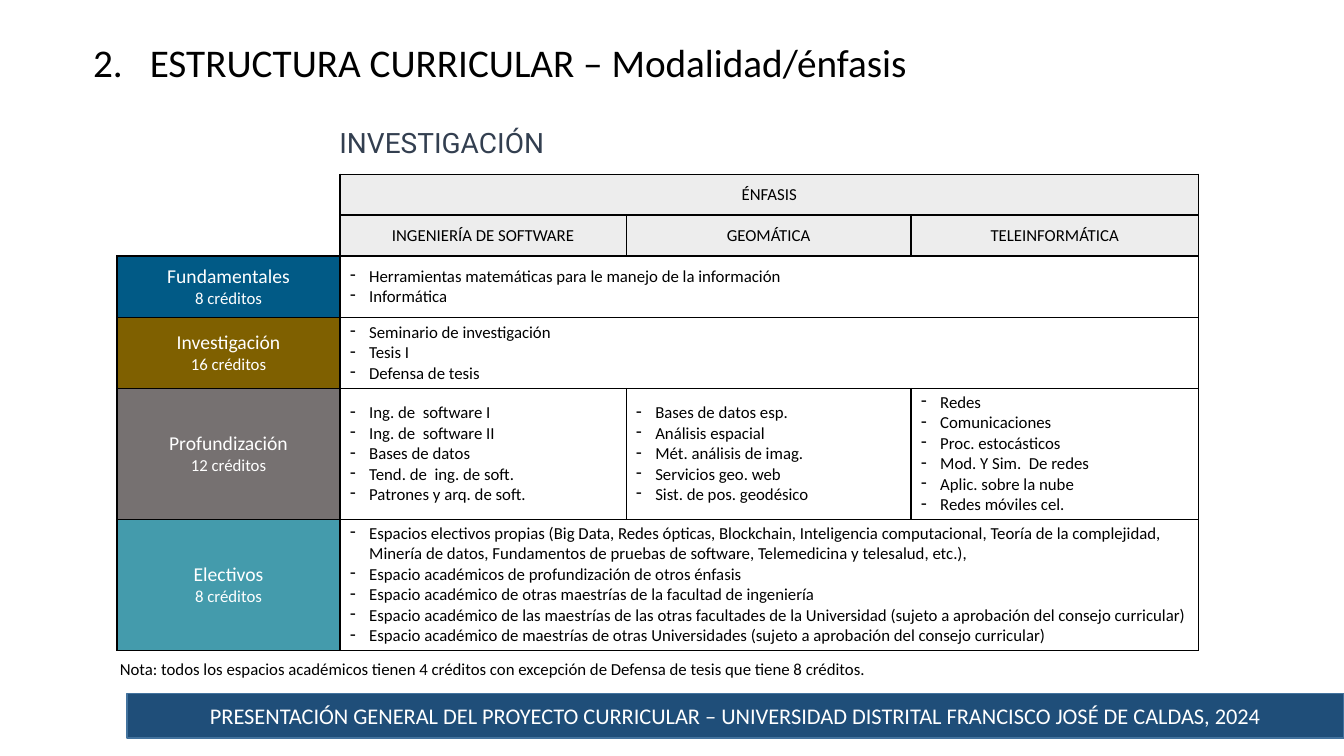
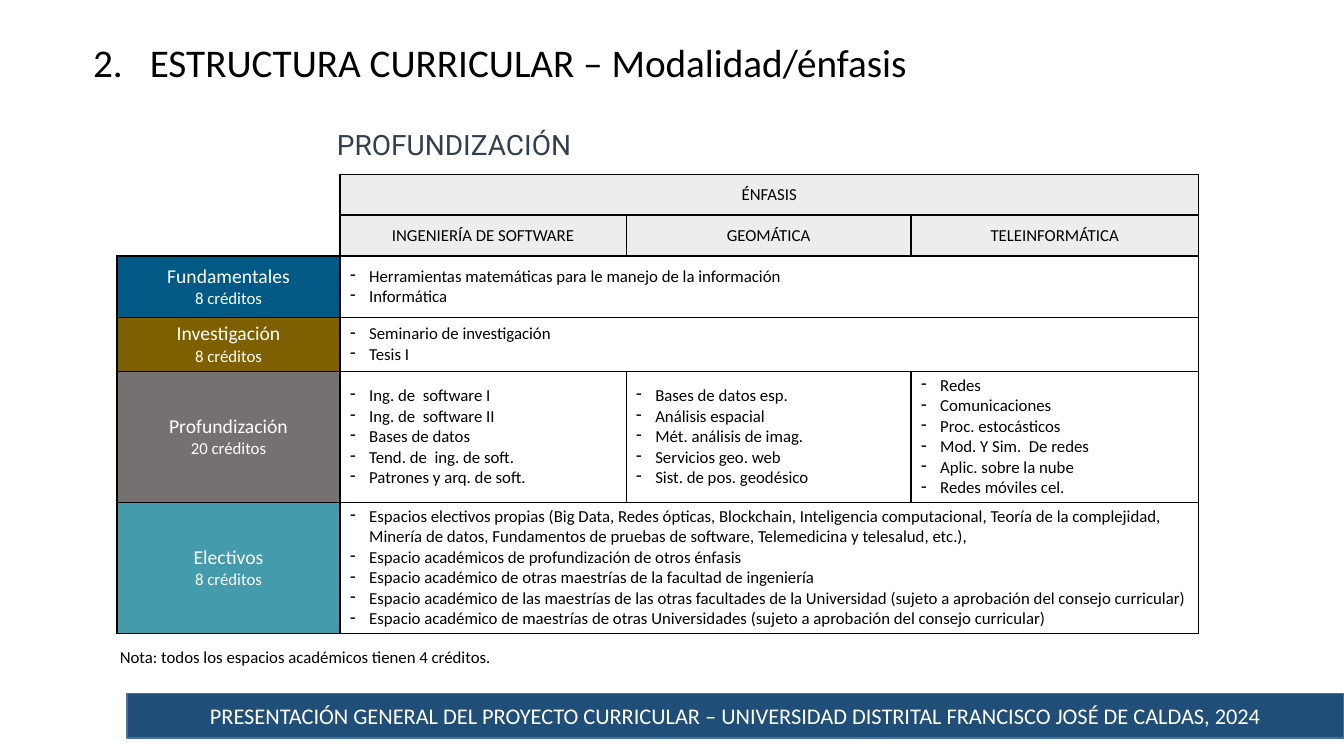
"""Build two slides on the curricular structure of each study mode."""
from lxml import etree
from pptx import Presentation
from pptx import util as u
from pptx.dml.color import RGBColor
from pptx.enum import shapes, text
from pptx.oxml.ns import qn

BLACK = RGBColor(0x00, 0x00, 0x00)
WHITE = RGBColor(0xFF, 0xFF, 0xFF)
SLATE = RGBColor(0x33, 0x3F, 0x50)
PALE = RGBColor(0xED, 0xED, 0xED)
NAVY = RGBColor(0x1F, 0x4E, 0x79)
EDGE = RGBColor(0x43, 0x73, 0x9E)
BLUE = RGBColor(0x01, 0x5A, 0x86)
OLIVE = RGBColor(0x7F, 0x60, 0x00)
GRAY = RGBColor(0x76, 0x71, 0x71)
TEAL = RGBColor(0x44, 0x9B, 0xAC)
LEFT, MID = text.PP_ALIGN.LEFT, text.PP_ALIGN.CENTER

TITLE = "ESTRUCTURA CURRICULAR – Modalidad/énfasis"
FOOT = ("PRESENTACIÓN GENERAL DEL PROYECTO CURRICULAR – "
        "UNIVERSIDAD DISTRITAL FRANCISCO JOSÉ DE CALDAS, 2024")
HEADS = ["INGENIERÍA DE SOFTWARE", "GEOMÁTICA", "TELEINFORMÁTICA"]
BASE = ["Herramientas matemáticas para le manejo de la información", "Informática"]
STUDY = ["Seminario de investigación", "Tesis I"]
DEPTH = [
    ["Ing. de  software I", "Ing. de  software II", "Bases de datos",
     "Tend. de  ing. de soft.", "Patrones y arq. de soft."],
    ["Bases de datos esp.", "Análisis espacial", "Mét. análisis de imag.",
     "Servicios geo. web", "Sist. de pos. geodésico"],
    ["Redes", "Comunicaciones", "Proc. estocásticos",
     "Mod. Y Sim.  De redes", "Aplic. sobre la nube", "Redes móviles cel."],
]
FREE = [
    "Espacios electivos propias (Big Data, Redes ópticas, Blockchain, "
    "Inteligencia computacional, Teoría de la complejidad, Minería de datos, "
    "Fundamentos de pruebas de software, Telemedicina y telesalud, etc.),",
    "Espacio académicos de profundización de otros énfasis",
    "Espacio académico de otras maestrías de la facultad de ingeniería",
    "Espacio académico de las maestrías de las otras facultades de la "
    "Universidad (sujeto a aprobación del consejo curricular)",
    "Espacio académico de maestrías de otras Universidades "
    "(sujeto a aprobación del consejo curricular)",
]
WIDTHS = [5.62, 7.21, 7.18, 7.24]
MODES = [
    dict(name="INVESTIGACIÓN", left=4.85, top=3.05, study=STUDY + ["Defensa de tesis"],
         credits=[8, 16, 12, 8], high=1.79, base=16.48,
         note="Nota: todos los espacios académicos tienen 4 créditos "
              "con excepción de Defensa de tesis que tiene 8 créditos."),
    dict(name="PROFUNDIZACIÓN", left=5.16, top=3.1, study=STUDY,
         credits=[8, 8, 20, 8], high=1.36, base=16.18,
         note="Nota: todos los espacios académicos tienen 4 créditos."),
]


def style(para, size, color, align=LEFT, face="Calibri", mark=None, hang=0.48):
    """Format a paragraph, with a hanging bullet if a mark is given."""
    if mark:
        props = para._p.get_or_add_pPr()
        props.set("marL", str(u.Cm(hang)))
        props.set("indent", str(-u.Cm(hang)))
        tag, items = mark
        etree.SubElement(props, qn(tag), items)
    para.alignment = align
    for run in para.runs:
        run.font.size = u.Pt(size)
        run.font.name = face
        run.font.color.rgb = color


def label(slide, words, place, *look, **more):
    """Add a text box with one styled paragraph."""
    box = slide.shapes.add_textbox(*[u.Cm(n) for n in place])
    frame = box.text_frame
    frame.word_wrap = True
    frame.auto_size = text.MSO_AUTO_SIZE.SHAPE_TO_FIT_TEXT
    frame.text = words
    style(frame.paragraphs[0], *look, **more)


deck = Presentation()
deck.slide_width, deck.slide_height = u.Cm(33.87), u.Cm(19.05)
NUMBER = ("a:buAutoNum", {"type": "arabicPeriod", "startAt": "2"})
DASH = ("a:buChar", {"char": "-"})

for mode in MODES:
    slide = deck.slides.add_slide(deck.slide_layouts[6])
    label(slide, TITLE, (1.7, 0.84, 21.79, 1.45), 28, BLACK, MID, mark=NUMBER, hang=1.43)

    highs = [1.03, 1.03, 1.55, mode["high"], 3.3, 3.3]
    frame = slide.shapes.add_table(
        6, 4, u.Cm(2.95), u.Cm(4.39), u.Cm(sum(WIDTHS)), u.Cm(sum(highs)))
    table = frame.table
    table.first_row = table.horz_banding = False
    for col, width in zip(table.columns, WIDTHS):
        col.width = u.Cm(width)
    for row, high in zip(table.rows, highs):
        row.height = u.Cm(high)
    for r in (0, 2, 3, 5):
        table.cell(r, 1).merge(table.cell(r, 3))

    cells = {(0, 1): ["ÉNFASIS"], (2, 1): BASE, (3, 1): mode["study"], (5, 1): FREE}
    for c in range(3):
        cells[1, c + 1] = [HEADS[c]]
        cells[4, c + 1] = DEPTH[c]
    names = ["Fundamentales", "Investigación", "Profundización", "Electivos"]
    for r, (name, count) in enumerate(zip(names, mode["credits"]), 2):
        cells[r, 0] = [name, f"{count} créditos"]
    fills = dict(enumerate([BLUE, OLIVE, GRAY, TEAL], 2))

    for r in range(6):
        for c in range(4):
            cell = table.cell(r, c)
            blank = c == 0 and r < 2
            props = cell._tc.get_or_add_tcPr()
            for side in "LRTB":
                line = etree.SubElement(props, qn(f"a:ln{side}"), {"w": str(u.Pt(1))})
                if blank and side != "R" and (r, side) != (1, "B"):
                    etree.SubElement(line, qn("a:noFill"))
                else:
                    solid = etree.SubElement(line, qn("a:solidFill"))
                    etree.SubElement(solid, qn("a:srgbClr"), {"val": str(BLACK)})
            shade = PALE if r < 2 else fills[r]
            if blank or (c and r > 1):
                cell.fill.background()
            else:
                cell.fill.solid()
                cell.fill.fore_color.rgb = shade
            cell.vertical_anchor = text.MSO_ANCHOR.MIDDLE
            cell.margin_top = cell.margin_bottom = u.Cm(0.1)
            if (r, c) not in cells:
                continue
            cell.text_frame.text = "\n".join(cells[r, c])
            for i, para in enumerate(cell.text_frame.paragraphs):
                if c == 0:
                    style(para, 12 if i else 14, WHITE, MID)
                elif r < 2:
                    style(para, 12, BLACK, MID)
                else:
                    style(para, 12, BLACK, mark=DASH)

    label(slide, mode["name"], (mode["left"], mode["top"], 12.57, 1.1),
          20, SLATE, MID, "Roboto")
    label(slide, mode["note"], (2.77, mode["base"], 27.53, 0.77), 12, BLACK)

    band = slide.shapes.add_shape(
        shapes.MSO_SHAPE.RECTANGLE, u.Cm(3.2), u.Cm(17.48), u.Cm(30.67), u.Cm(1.12))
    band.shadow.inherit = False
    band.fill.solid()
    band.fill.fore_color.rgb = NAVY
    band.line.color.rgb = EDGE
    band.line.width = u.Pt(1)
    band.text_frame.text = FOOT
    band.text_frame.word_wrap = True
    band.text_frame.vertical_anchor = text.MSO_ANCHOR.MIDDLE
    style(band.text_frame.paragraphs[0], 16, WHITE, MID)

deck.save("out.pptx")
